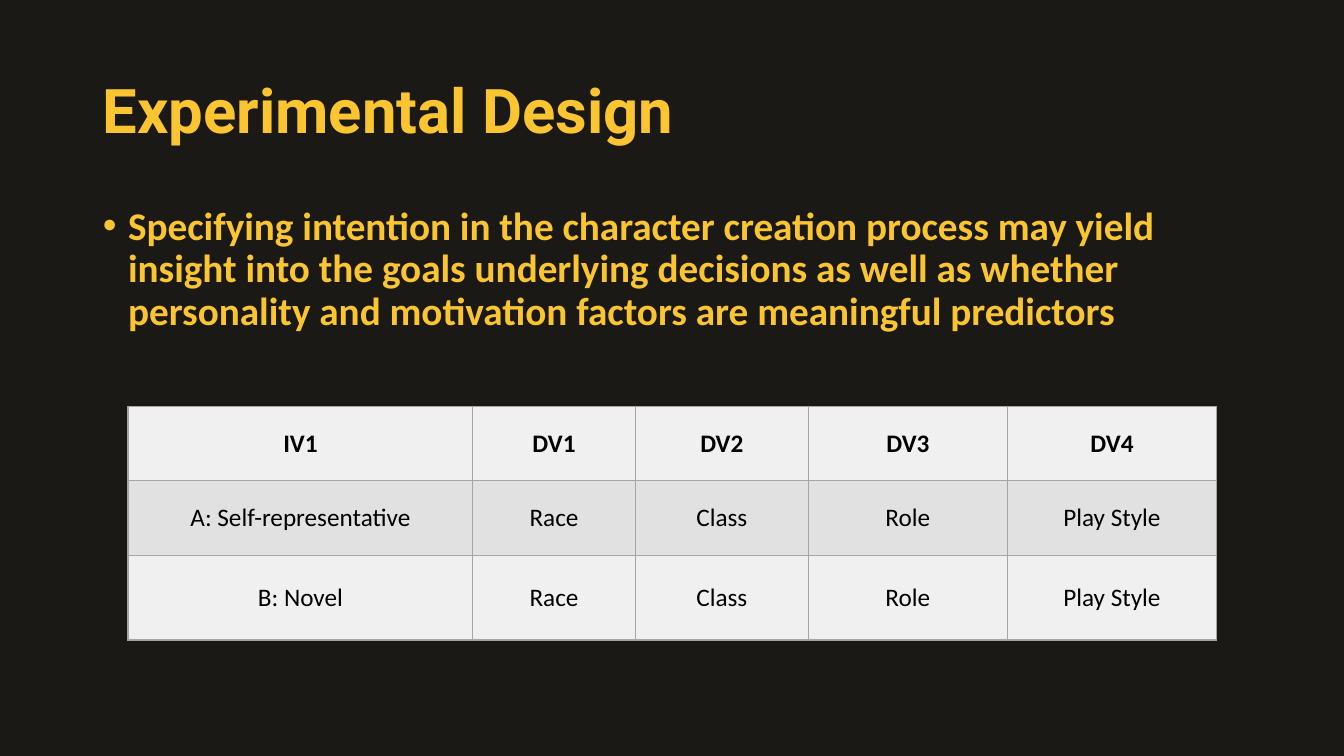
"""Build the Experimental Design slide with its table of variables."""
from lxml import etree
from pptx import Presentation
from pptx.dml.color import RGBColor
from pptx.enum.text import MSO_ANCHOR, MSO_AUTO_SIZE, PP_ALIGN
from pptx.oxml.ns import qn
from pptx.util import Inches, Pt

LEFT, CENTER = PP_ALIGN.LEFT, PP_ALIGN.CENTER
TOP, MIDDLE = MSO_ANCHOR.TOP, MSO_ANCHOR.MIDDLE
NO_AUTOFIT = MSO_AUTO_SIZE.NONE
COLORS = {
    "background": "1A1915",
    "gold": "FAC530",
    "text": "000000",
    "light_row": "F0F0F0",
    "dark_row": "E1E1E1",
    "border": "A5A5A5",
}


def style_paragraph(para, font_name, size, color, bold, alignment):
    para.alignment = alignment
    para.font.name = font_name
    para.font.size = Pt(size)
    para.font.bold = bold
    para.font.color.rgb = RGBColor.from_string(COLORS[color])


def fill_placeholder(box, text, top, height, anchor):
    box.left, box.top = Inches(0.92), Inches(top)
    box.width, box.height = Inches(11.5), Inches(height)
    frame = box.text_frame
    frame.text = text
    frame.word_wrap = True
    frame.auto_size = NO_AUTOFIT
    frame.vertical_anchor = anchor
    para = frame.paragraphs[0]
    para.line_spacing = 0.9
    para.space_before = Pt(0)
    return para


deck = Presentation()
deck.slide_width, deck.slide_height = Inches(13.33), Inches(7.5)
page = deck.slides.add_slide(deck.slide_layouts[1])
page.background.fill.solid()
page.background.fill.fore_color.rgb = RGBColor.from_string(COLORS["background"])

title = fill_placeholder(page.shapes.title, "Experimental Design", 0.4, 1.45, MIDDLE)
style_paragraph(title, "Roboto", 44, "gold", True, LEFT)

statement = fill_placeholder(
    page.placeholders[1],
    "Specifying intention in the character creation process may yield "
    "insight into the goals underlying decisions as well as whether "
    "personality and motivation factors are meaningful predictors",
    2, 4.76, TOP,
)
properties = statement._p.get_or_add_pPr()
properties.set("marL", str(Inches(0.25)))
properties.set("indent", str(Inches(-0.25)))
etree.SubElement(properties, qn("a:buFont")).set("typeface", "Arial")
etree.SubElement(properties, qn("a:buChar")).set("char", "•")
style_paragraph(statement, "Calibri", 28, "gold", True, LEFT)

rows = [
    ["IV1", "DV1", "DV2", "DV3", "DV4"],
    ["A: Self-representative", "Race", "Class", "Role", "Play Style"],
    ["B: Novel", "Race", "Class", "Role", "Play Style"],
]
column_widths = [3.42, 1.61, 1.72, 1.97, 2.08]
row_heights = [0.74, 0.74, 0.84]
table = page.shapes.add_table(
    len(rows), len(column_widths), Inches(1.27), Inches(4.03),
    Inches(sum(column_widths)), Inches(sum(row_heights)),
).table
for column, width in zip(table.columns, column_widths):
    column.width = Inches(width)
for row, height in zip(table.rows, row_heights):
    row.height = Inches(height)

for row_index, labels in enumerate(rows):
    row_color = "dark_row" if row_index % 2 else "light_row"
    for column_index, label in enumerate(labels):
        cell = table.cell(row_index, column_index)
        cell.text = label
        cell.vertical_anchor = MIDDLE
        style_paragraph(cell.text_frame.paragraphs[0], "Calibri", 18, "text", row_index == 0, CENTER)
        cell_properties = cell._tc.get_or_add_tcPr()
        for side in ("lnL", "lnR", "lnT", "lnB"):
            border = etree.SubElement(cell_properties, qn(f"a:{side}"), w=str(Pt(1)))
            border_fill = etree.SubElement(border, qn("a:solidFill"))
            etree.SubElement(border_fill, qn("a:srgbClr"), val=COLORS["border"])
        cell.fill.solid()
        cell.fill.fore_color.rgb = RGBColor.from_string(COLORS[row_color])

deck.save("out.pptx")
